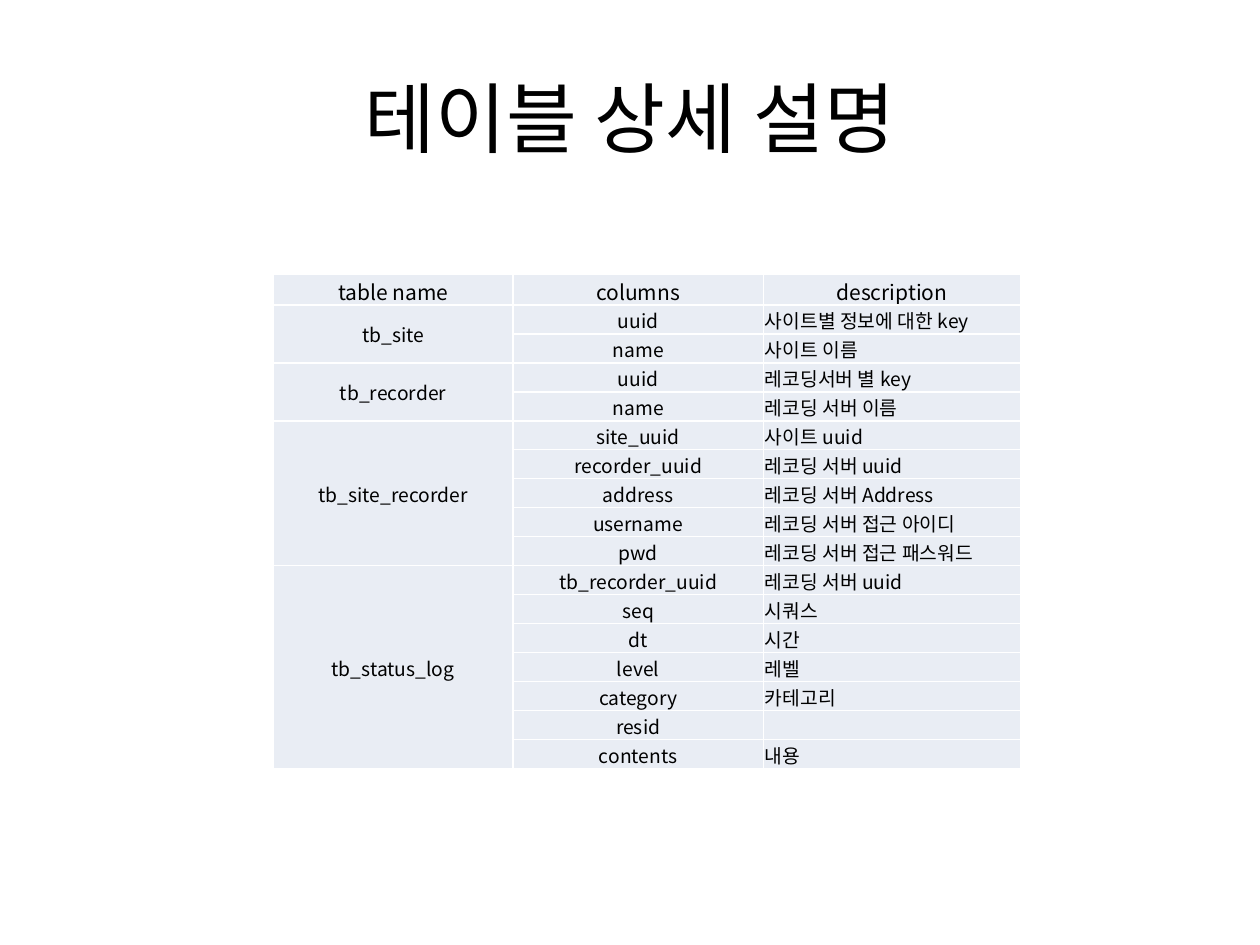
from lxml import etree
from pptx import Presentation
from pptx.dml.color import RGBColor
from pptx.enum.text import MSO_ANCHOR, PP_ALIGN
from pptx.oxml.ns import qn
from pptx.util import Inches, Pt

CENTER, LEFT = PP_ALIGN.CENTER, PP_ALIGN.LEFT
MIDDLE = MSO_ANCHOR.MIDDLE

SLIDE_W, SLIDE_H = 10, 7.5
FONT = "Noto Sans CJK KR"
TEXT_COLOR, CELL_COLOR, BORDER_COLOR = "000000", "E9EDF4", "FFFFFF"

TITLE = "테이블 상세 설명"
HEADER = ["table name", "columns", "description"]
DB_TABLES = {
    "tb_site": [("uuid", "사이트별 정보에 대한 key"), ("name", "사이트 이름")],
    "tb_recorder": [("uuid", "레코딩서버 별 key"), ("name", "레코딩 서버 이름")],
    "tb_site_recorder": [
        ("site_uuid", "사이트 uuid"),
        ("recorder_uuid", "레코딩 서버 uuid"),
        ("address", "레코딩 서버 Address"),
        ("username", "레코딩 서버 접근 아이디"),
        ("pwd", "레코딩 서버 접근 패스워드"),
    ],
    "tb_status_log": [
        ("tb_recorder_uuid", "레코딩 서버 uuid"),
        ("seq", "시쿼스"),
        ("dt", "시간"),
        ("level", "레벨"),
        ("category", "카테고리"),
        ("resid", ""),
        ("contents", "내용"),
    ],
}
COLUMN_WIDTHS = [1.9, 1.99, 2.04]
HEADER_HEIGHT, ROW_HEIGHT = 0.24, 0.23


def rgb(hex_color):
    return RGBColor.from_string(hex_color)


def write(frame, text, size=11, align=CENTER, color=TEXT_COLOR):
    paragraph = frame.paragraphs[0]
    paragraph.alignment = align
    if not text:
        # An empty cell still needs its text size, or its row grows
        end = etree.SubElement(paragraph._p, qn("a:endParaRPr"))
        end.set("sz", str(size * 100))
        return
    run = paragraph.add_run()
    run.text = text
    run.font.size = Pt(size)
    run.font.name = FONT
    run.font.color.rgb = rgb(color)
    east_asian = etree.SubElement(run._r.get_or_add_rPr(), qn("a:ea"))
    east_asian.set("typeface", FONT)


def add_title(slide, text):
    title = slide.shapes.add_textbox(
        Inches(SLIDE_W * 0.05), Inches(SLIDE_H * 0.04),
        Inches(SLIDE_W * 0.9), Inches(1.25))
    title.text_frame.word_wrap = True
    title.text_frame.vertical_anchor = MIDDLE
    write(title.text_frame, text, size=44)


def style_cell(cell):
    cell.vertical_anchor = MIDDLE
    cell.margin_left = cell.margin_right = cell.margin_top = Inches(0.01)
    cell.margin_bottom = 0
    # Borders come before the fill in the cell properties
    properties = cell._tc.get_or_add_tcPr()
    for side in ("lnL", "lnR", "lnT", "lnB"):
        border = etree.SubElement(properties, qn(f"a:{side}"), w=str(Pt(1)))
        fill = etree.SubElement(border, qn("a:solidFill"))
        etree.SubElement(fill, qn("a:srgbClr"), val=BORDER_COLOR)
    cell.fill.solid()
    cell.fill.fore_color.rgb = rgb(CELL_COLOR)


def add_description_table(slide):
    row_count = 1 + sum(len(fields) for fields in DB_TABLES.values())
    height = HEADER_HEIGHT + ROW_HEIGHT * (row_count - 1)
    grid = slide.shapes.add_table(
        row_count, len(HEADER), Inches(2.17), Inches(2.18),
        Inches(sum(COLUMN_WIDTHS)), Inches(height)).table

    for column, width in zip(grid.columns, COLUMN_WIDTHS):
        column.width = Inches(width)
    for index, row in enumerate(grid.rows):
        row.height = Inches(ROW_HEIGHT if index else HEADER_HEIGHT)
    for cell in grid.iter_cells():
        style_cell(cell)

    # Header row
    for column, label in enumerate(HEADER):
        write(grid.cell(0, column).text_frame, label, size=12)

    # One merged name cell for each group of fields
    top = 1
    for name, fields in DB_TABLES.items():
        bottom = top + len(fields) - 1
        grid.cell(top, 0).merge(grid.cell(bottom, 0))
        write(grid.cell(top, 0).text_frame, name)
        for row, (field, description) in enumerate(fields, top):
            write(grid.cell(row, 1).text_frame, field)
            write(grid.cell(row, 2).text_frame, description, align=LEFT)
        top = bottom + 1


def main():
    deck = Presentation()
    deck.slide_width, deck.slide_height = Inches(SLIDE_W), Inches(SLIDE_H)
    slide = deck.slides.add_slide(deck.slide_layouts[6])
    add_title(slide, TITLE)
    add_description_table(slide)
    deck.save("out.pptx")


main()
